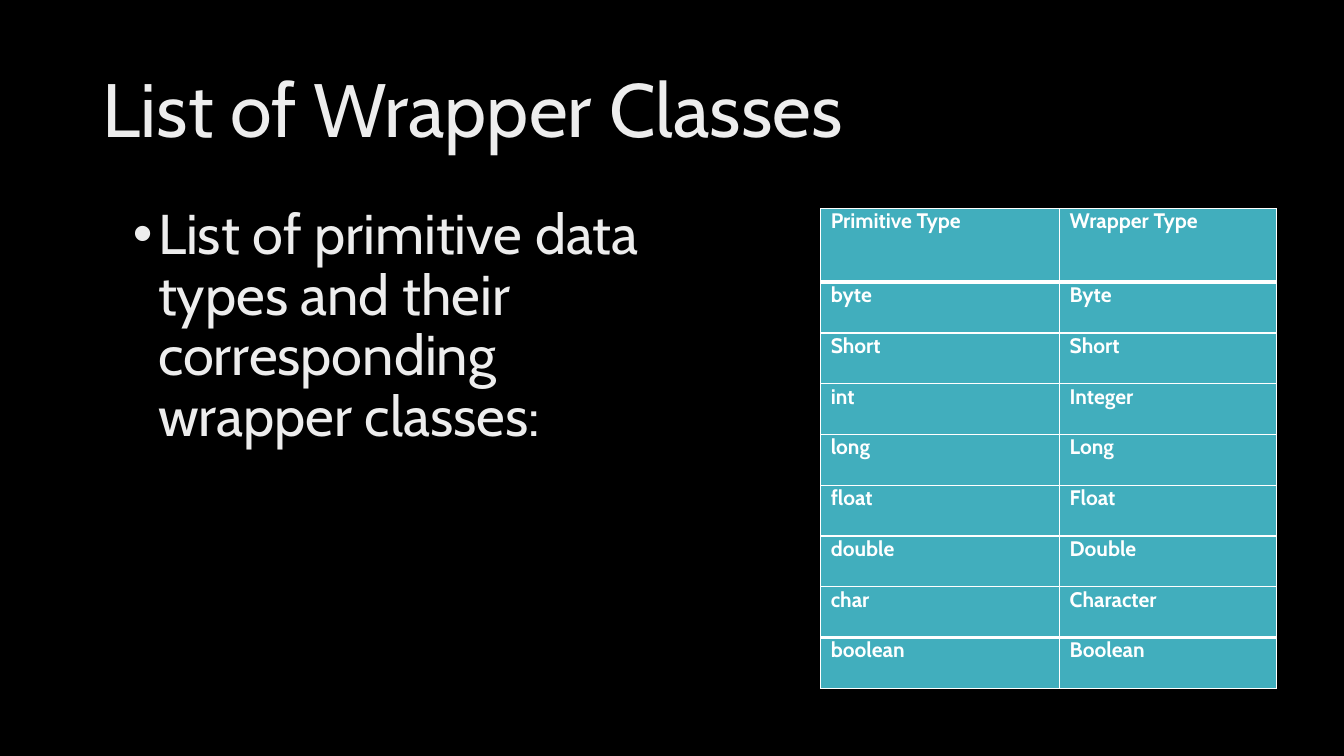
import pptx
import pptx.util
import pptx.dml.color
import pptx.enum.text
import pptx.oxml
import pptx.oxml.ns
from lxml import etree

Inches = pptx.util.Inches
Pt = pptx.util.Pt
RGBColor = pptx.dml.color.RGBColor
Anchor = pptx.enum.text.MSO_ANCHOR

BLACK = RGBColor(0x00, 0x00, 0x00)
PALE = RGBColor(0xED, 0xED, 0xED)
WHITE = RGBColor(0xFF, 0xFF, 0xFF)
TEAL = RGBColor(0x41, 0xAE, 0xBD)

TYPES = [
    ("Primitive Type", "Wrapper Type"),
    ("byte", "Byte"),
    ("Short", "Short"),
    ("int", "Integer"),
    ("long", "Long"),
    ("float", "Float"),
    ("double", "Double"),
    ("char", "Character"),
    ("boolean", "Boolean"),
]


class Deck:
    font = "Cabin"

    def __init__(self):
        self.show = pptx.Presentation()
        self.show.slide_width = Inches(13.33)
        self.show.slide_height = Inches(7.5)
        self.slide = self.show.slides.add_slide(self.show.slide_layouts[5])
        back = self.slide.background.fill
        back.solid()
        back.fore_color.rgb = BLACK

    def style(self, para, size, color, bold=False):
        para.alignment = pptx.enum.text.PP_ALIGN.LEFT
        for run in para.runs:
            run.font.name = self.font
            run.font.size = Pt(size)
            run.font.bold = bold
            run.font.color.rgb = color

    def fill_box(self, shape, box, text, size, anchor):
        """Place a text shape and set its one paragraph, which is returned."""
        shape.left, shape.top, shape.width, shape.height = map(Inches, box)
        frame = shape.text_frame
        frame.text = text
        frame.word_wrap = True
        frame.auto_size = pptx.enum.text.MSO_AUTO_SIZE.NONE
        frame.vertical_anchor = anchor
        para = frame.paragraphs[0]
        para.line_spacing = 0.9
        self.style(para, size, PALE)
        return para

    def title(self, text, box):
        self.fill_box(self.slide.shapes.title, box, text, 54, Anchor.MIDDLE)

    def bullet(self, text, box):
        shape = self.slide.shapes.add_textbox(*map(Inches, box))
        para = self.fill_box(shape, box, text, 40, Anchor.TOP)
        para.space_before = Pt(10)
        props = para._p.get_or_add_pPr()
        props.set("marL", str(Inches(0.25)))
        props.set("indent", str(-Inches(0.25)))
        font = etree.SubElement(props, pptx.oxml.ns.qn("a:buFont"))
        font.set("typeface", "Arial")
        mark = etree.SubElement(props, pptx.oxml.ns.qn("a:buChar"))
        mark.set("char", "•")

    def border(self, cell, top, bottom):
        """Draw white cell edges; top and bottom are widths in points."""
        props = cell._tc.get_or_add_tcPr()
        for side, width in (("L", 1), ("R", 1), ("T", top), ("B", bottom)):
            props.append(pptx.oxml.parse_xml(
                f'<a:ln{side} {pptx.oxml.ns.nsdecls("a")} w="{Pt(width)}">'
                f'<a:solidFill><a:srgbClr val="{WHITE}"/></a:solidFill>'
                f'</a:ln{side}>'))

    def cell(self, cell, text, space, top, bottom):
        cell.margin_left = cell.margin_right = 0
        cell.margin_top = cell.margin_bottom = 0
        self.border(cell, top, bottom)
        cell.fill.solid()
        cell.fill.fore_color.rgb = TEAL
        cell.text = text
        para = cell.text_frame.paragraphs[0]
        para.space_before = Pt(space)
        para._p.get_or_add_pPr().set("marL", str(Inches(0.1)))
        self.style(para, 15, WHITE, True)

    def table(self, rows, box, widths, head):
        grid = self.slide.shapes.add_table(
            len(rows), len(widths), *map(Inches, box)).table
        for col, width in zip(grid.columns, widths):
            col.width = Inches(width)
        step = (box[3] - head) / (len(rows) - 1)
        last = len(rows) - 1
        thick = (1, last)  # rows whose top edge is heavy
        for i, texts in enumerate(rows):
            grid.rows[i].height = Inches(step if i else head)
            space = 3.2 if i == 0 else 4.4 if i < 6 else 4.8
            top = 3 if i in thick else 1
            bottom = 3 if i + 1 in thick else 1
            for j, text in enumerate(texts):
                self.cell(grid.cell(i, j), text, space, top, bottom)


def main():
    deck = Deck()
    deck.title("List of Wrapper Classes", (0.92, 0.4, 11.5, 1.45))
    deck.bullet("List of primitive data types and their corresponding "
                "wrapper classes:", (1.22, 2, 5.5, 4.76))
    deck.table(TYPES, (8.14, 2.07, 4.52, 4.76), (2.37, 2.15), 0.73)
    deck.show.save("out.pptx")


if __name__ == "__main__":
    main()
